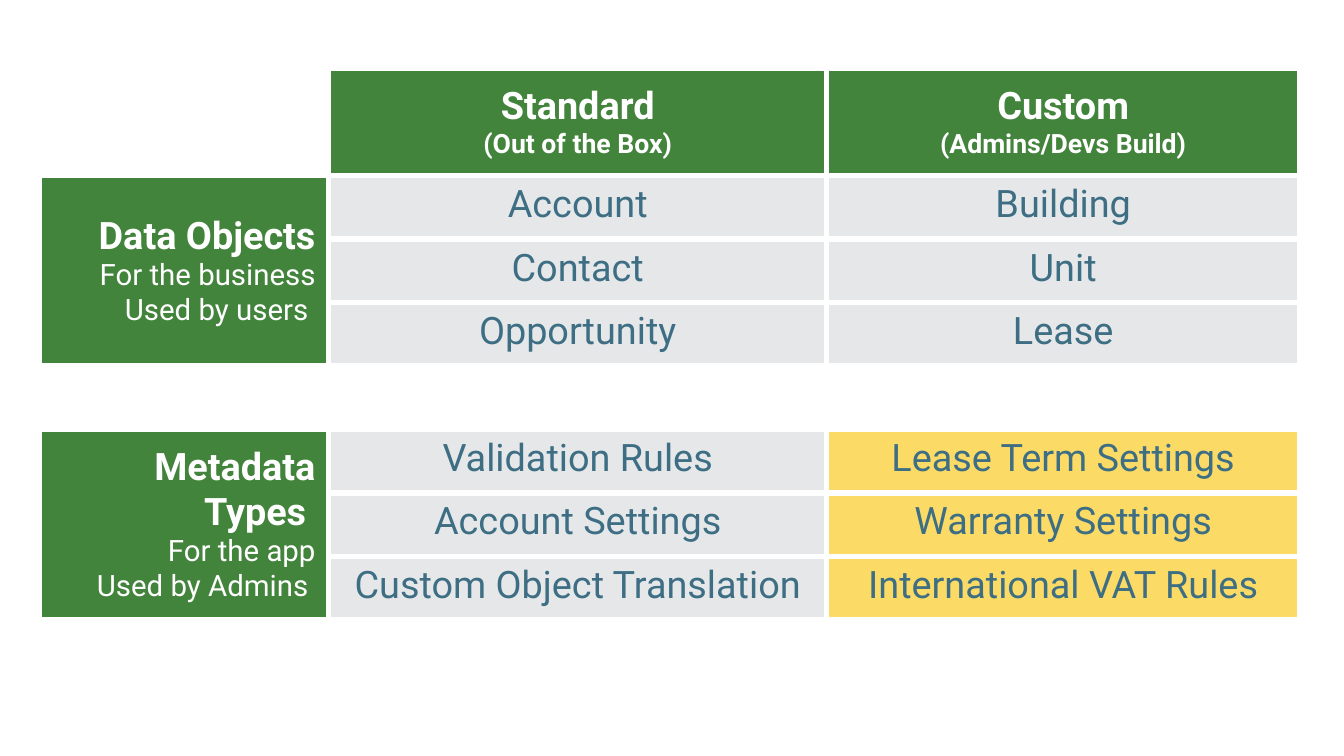
from lxml.etree import SubElement
from pptx import Presentation
from pptx.dml.color import RGBColor
from pptx.enum.text import MSO_ANCHOR, PP_ALIGN
from pptx.oxml.ns import qn
from pptx.util import Inches, Pt

GREEN, GRAY, YELLOW, BLUE, WHITE = "43843C", "E5E7E8", "FBDB66", "3E6E84", "FFFFFF"
COLUMN_WIDTHS = [2.87, 4.94, 4.69]
HEADER_HEIGHT, ROW_HEIGHT = 1.06, 0.63
HEADERS = [("Standard", "(Out of the Box)"), ("Custom", "(Admins/Devs Build)")]
GROUPS = [
    (["Data Objects", "For the business", "Used by users "], GRAY,
     [("Account", "Building"), ("Contact", "Unit"), ("Opportunity", "Lease")]),
    (["Metadata Types ", "For the app", "Used by Admins "], YELLOW,
     [("Validation Rules", "Lease Term Settings"),
      ("Account Settings", "Warranty Settings"),
      ("Custom Object Translation", "International VAT Rules")]),
]


def color(value):
    return RGBColor.from_string(value)


def add_borders(cell):
    properties = cell._tc.get_or_add_tcPr()
    for side in ("lnL", "lnR", "lnT", "lnB"):
        line = SubElement(properties, qn(f"a:{side}"), w=str(Pt(4.5)))
        fill = SubElement(line, qn("a:solidFill"))
        SubElement(fill, qn("a:srgbClr"), val=WHITE)


def fill_cell(cell, background):
    cell.fill.solid()
    cell.fill.fore_color.rgb = color(background)


def write_line(para, text, size=27, ink=BLUE, bold=False, align=PP_ALIGN.CENTER):
    para.alignment = align
    span = para.add_run()
    span.text = text
    span.font.name = "Roboto"
    span.font.size = Pt(size)
    span.font.bold = bold
    span.font.color.rgb = color(ink)


def write_cell(cell, lines, background, anchor=MSO_ANCHOR.MIDDLE, small=27,
               small_bold=False, **style):
    fill_cell(cell, background)
    cell.vertical_anchor = anchor
    cell.margin_left = cell.margin_right = Inches(0.13)
    cell.margin_top = cell.margin_bottom = Inches(0.07)
    frame = cell.text_frame
    write_line(frame.paragraphs[0], lines[0], **style)
    for text in lines[1:]:
        write_line(frame.add_paragraph(), text, **{**style, "size": small, "bold": small_bold})


def add_header(table):
    fill_cell(table.cell(0, 0), WHITE)
    for column, lines in enumerate(HEADERS, 1):
        write_cell(table.cell(0, column), lines, GREEN, small=19, small_bold=True,
                   ink=WHITE, bold=True)


def add_group(table, top, label, custom_fill, rows):
    heading = table.cell(top, 0)
    heading.merge(table.cell(top + len(rows) - 1, 0))
    write_cell(heading, label, GREEN, small=21, ink=WHITE, bold=True, align=PP_ALIGN.RIGHT)
    for row, names in enumerate(rows, top):
        for column, (name, background) in enumerate(zip(names, (GRAY, custom_fill)), 1):
            write_cell(table.cell(row, column), [name], background, anchor=MSO_ANCHOR.TOP)


def add_comparison(page, left, top):
    heights = [HEADER_HEIGHT] + [ROW_HEIGHT] * 7
    table = page.shapes.add_table(
        len(heights), len(COLUMN_WIDTHS), Inches(left), Inches(top),
        Inches(sum(COLUMN_WIDTHS)), Inches(sum(heights))).table
    table.first_row = table.horz_banding = False
    for column, width in zip(table.columns, COLUMN_WIDTHS):
        column.width = Inches(width)
    for row, height in zip(table.rows, heights):
        row.height = Inches(height)
    for cell in table.iter_cells():
        add_borders(cell)
        cell.fill.background()
    add_header(table)
    for index, group in enumerate(GROUPS):
        add_group(table, 1 + 4 * index, *group)


def main():
    deck = Presentation()
    deck.slide_width, deck.slide_height = Inches(13.33), Inches(7.5)
    page = deck.slides.add_slide(deck.slide_layouts[6])
    add_comparison(page, 0.39, 0.68)
    deck.save("out.pptx")


if __name__ == "__main__":
    main()
